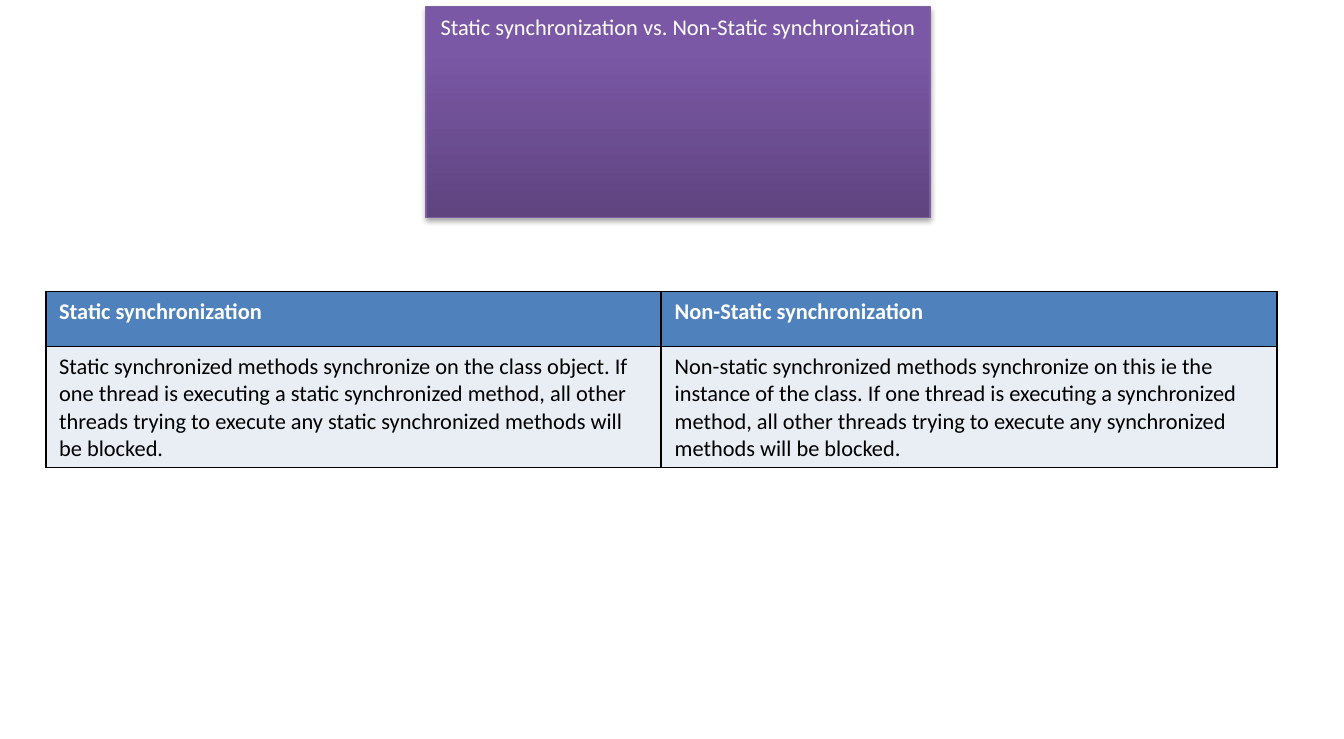
from copy import deepcopy
from dataclasses import dataclass

from lxml import etree
from pptx import Presentation
from pptx.dml.color import RGBColor
from pptx.enum.text import MSO_ANCHOR as Anchor, MSO_AUTO_SIZE as AutoSize, PP_ALIGN as Align
from pptx.oxml.ns import qn
from pptx.util import Inches, Pt

BLACK, WHITE = "000000", "FFFFFF"
GRADIENT = [(0, "5F4480"), (0.8, "7B58A6"), (1, "7C57A8")]


@dataclass
class RowStyle:
    height: float
    fill: str
    color: str
    bold: bool


ROW_STYLES = [
    RowStyle(0.41, "4F81BD", WHITE, True),
    RowStyle(0.9, "E9EDF4", BLACK, False),
]
COMPARISON = [
    ("Static synchronization", "Non-Static synchronization"),
    (
        "Static synchronized methods synchronize on the class object. If one thread is "
        "executing a static synchronized method, all other threads trying to execute any "
        "static synchronized methods will be blocked.",
        "Non-static synchronized methods synchronize on this ie the instance of the class. "
        "If one thread is executing a synchronized method, all other threads trying to "
        "execute any synchronized methods will be blocked.",
    ),
]


def rgb(color: str) -> RGBColor:
    return RGBColor.from_string(color)


def add_node(parent, tag: str, **attributes):
    return etree.SubElement(parent, qn(tag), attributes)


def write(frame, text: str, color: str, bold: bool = False) -> None:
    para = frame.paragraphs[0]
    span = para.add_run()
    span.text = text
    for name, value in {"name": "Calibri", "size": Pt(12), "bold": bold}.items():
        setattr(span.font, name, value)
    span.font.color.rgb = rgb(color)


def fill_gradient(box) -> None:
    box.fill.gradient()
    box.fill.gradient_angle = 90
    stop_list = box._element.spPr.find(".//" + qn("a:gsLst"))
    stop_list.append(deepcopy(stop_list[-1]))
    for stop, (position, color) in zip(box.fill.gradient_stops, GRADIENT):
        stop.position = position
        stop.color.rgb = rgb(color)


def add_shadow(box) -> None:
    box.shadow.inherit = False
    effects = box._element.spPr.find(qn("a:effectLst"))
    shadow = add_node(effects, "a:outerShdw", blurRad=str(Pt(3.1)), dist=str(Pt(1.8)),
                      dir="5400000", rotWithShape="0")
    color = add_node(shadow, "a:srgbClr", val=BLACK)
    add_node(color, "a:alpha", val="35000")


def draw_title(page, text: str) -> None:
    box = page.shapes.title
    place = {"left": 3.17, "top": 0.05, "width": 3.75, "height": 0.3}
    for name, value in place.items():
        setattr(box, name, Inches(value))
    fill_gradient(box)
    box.line.color.rgb = rgb("7D60A0")
    box.line.width = Pt(0.75)
    add_shadow(box)
    frame = box.text_frame
    layout = {"word_wrap": False, "auto_size": AutoSize.SHAPE_TO_FIT_TEXT,
              "vertical_anchor": Anchor.TOP}
    for name, value in layout.items():
        setattr(frame, name, value)
    frame.paragraphs[0].alignment = Align.CENTER
    write(frame, text, WHITE)


def draw_borders(cell) -> None:
    properties = cell._tc.get_or_add_tcPr()
    for index, side in enumerate(("a:lnL", "a:lnR", "a:lnT", "a:lnB")):
        line = add_node(properties, side, w=str(Pt(1)))
        add_node(add_node(line, "a:solidFill"), "a:srgbClr", val=BLACK)
        properties.insert(index, line)  # borders come before the fill


def draw_table(page) -> None:
    total = sum(style.height for style in ROW_STYLES)
    table = page.shapes.add_table(len(COMPARISON), 2, Inches(0.34), Inches(2.17),
                                  Inches(9.16), Inches(total)).table
    for row, style, texts in zip(table.rows, ROW_STYLES, COMPARISON):
        row.height = Inches(style.height)
        for cell, text in zip(row.cells, texts):
            cell.fill.solid()
            cell.fill.fore_color.rgb = rgb(style.fill)
            draw_borders(cell)
            write(cell.text_frame, text, style.color, style.bold)


def main() -> None:
    deck = Presentation()
    deck.slide_width, deck.slide_height = Inches(10), Inches(5.5)
    page = deck.slides.add_slide(deck.slide_layouts[5])  # title only
    draw_title(page, "Static synchronization vs. Non-Static synchronization")
    draw_table(page)
    deck.save("out.pptx")


if __name__ == "__main__":
    main()
